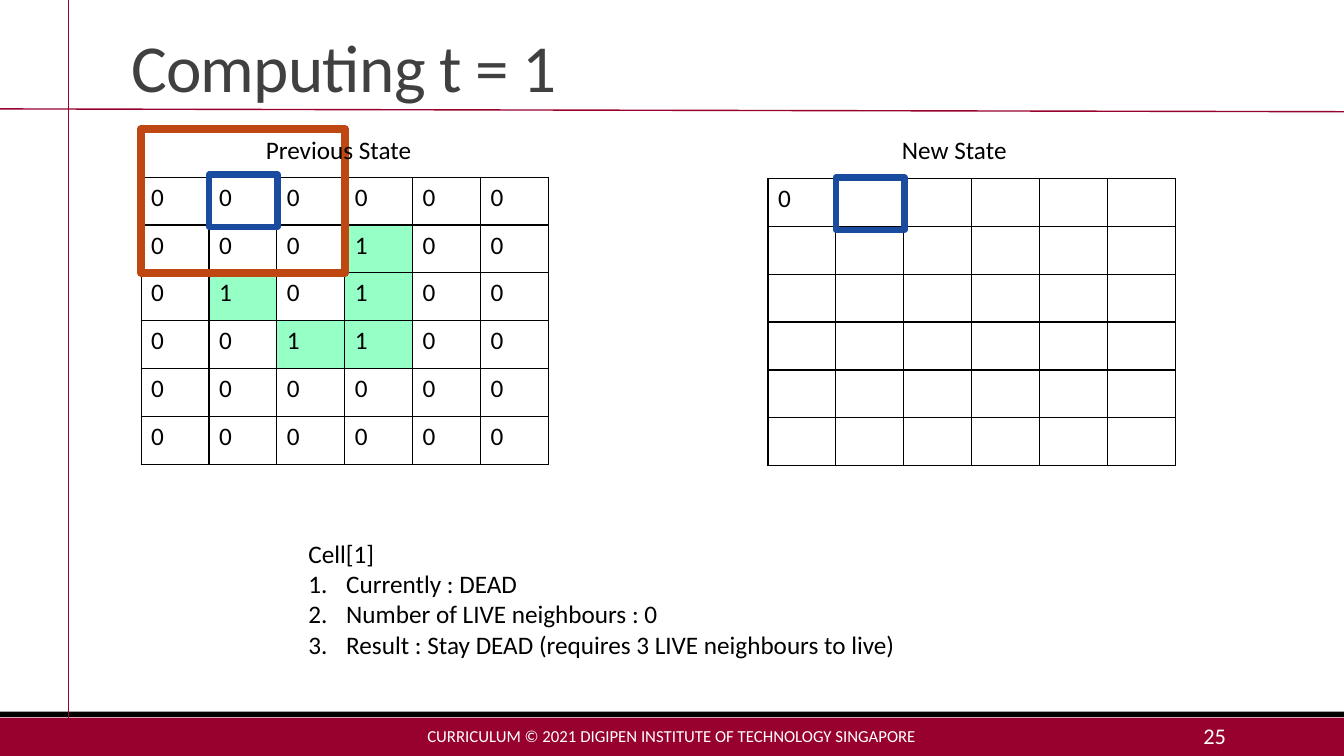
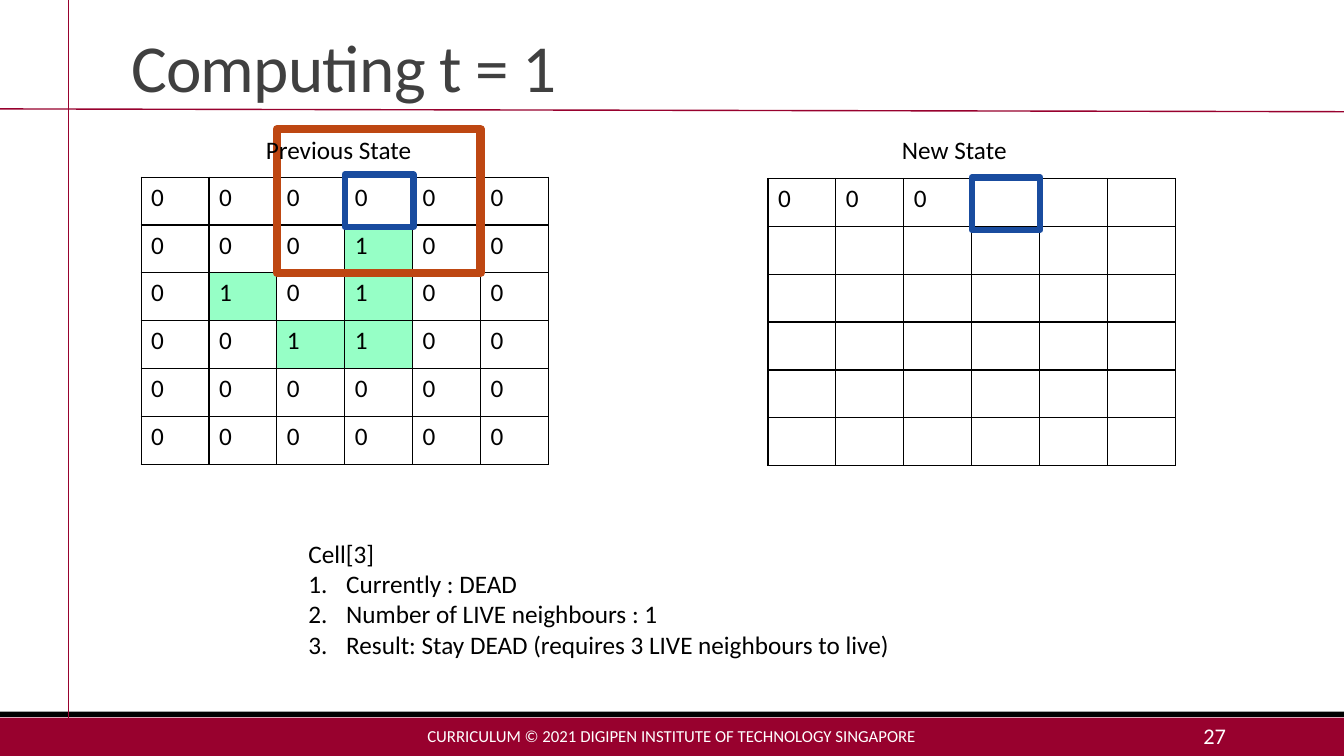
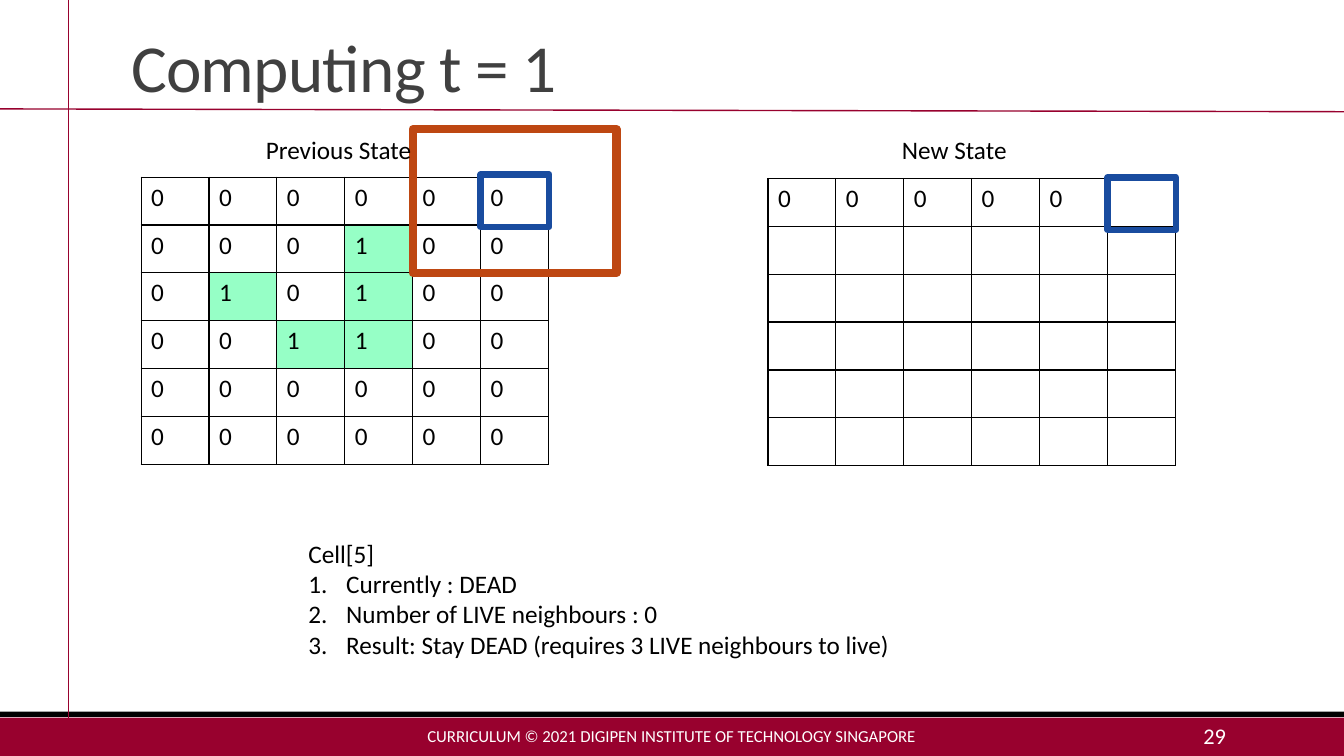
from dataclasses import dataclass

from lxml import etree
from pptx import Presentation
from pptx.dml.color import RGBColor
from pptx.enum import shapes as es
from pptx.enum import text as et
from pptx.oxml import ns
from pptx.util import Pt

FONT = "Calibri"
COLORS = {
    "crimson": "98012E",
    "black": "000000",
    "white": "FFFFFF",
    "title": "404040",
    "live": "96FFC6",
    "neighbours": "BE4712",
    "current": "194C9F",
}
FOOTER = "CURRICULUM © 2021 DIGIPEN INSTITUTE OF TECHNOLOGY SINGAPORE"
PREVIOUS_STATE = ["000000", "000100", "010100", "001100", "000000", "000000"]
SIZE = 6
COL_W, ROW_H = 48.5, 34.2


@dataclass(frozen=True)
class Box:
    left: float
    top: float
    width: float
    height: float

    def lengths(self) -> tuple:
        return Pt(self.left), Pt(self.top), Pt(self.width), Pt(self.height)


@dataclass(frozen=True)
class Grid:
    """Place of a state table, its label and its current-cell frame."""
    label: str
    label_left: float
    left: float
    top: float
    frame_top: float
    cell_fill: str | None


@dataclass(frozen=True)
class Step:
    page: int
    cell: int
    live: int
    result: str


PREVIOUS = Grid("Previous State", 182.9, 100.8, 126.5, 124.6, None)
NEW = Grid("New State", 637.2, 548.6, 127.5, 126.7, "white")
STEPS = [
    Step(25, 1, 0, "Result : Stay DEAD"),
    Step(27, 3, 1, "Result: Stay DEAD"),
    Step(29, 5, 0, "Result: Stay DEAD"),
]


def rgb(name: str) -> RGBColor:
    return RGBColor.from_string(COLORS[name])


def sub(parent, tag: str, **attrs: str):
    return etree.SubElement(parent, ns.qn(tag), **attrs)


def write(tf, text: str, *, size: float = 18, color: str = "black", align=et.PP_ALIGN.LEFT,
          spacing: float = 1, tracking: float = 0, numbered: bool = False) -> None:
    """Fill tf, one paragraph a line; numbered counts the lines after the first."""
    for i, line in enumerate(text.split("\n")):
        p = tf.add_paragraph() if i else tf.paragraphs[0]
        pPr = p._p.get_or_add_pPr()
        indent = Pt(27) if numbered and i else 0
        pPr.set("marL", str(indent))
        pPr.set("indent", str(-indent))
        if indent:
            sub(pPr, "a:buFont", typeface="+mj-lt")
            sub(pPr, "a:buAutoNum", type="arabicPeriod")
        else:
            sub(pPr, "a:buNone")
        p.alignment, p.line_spacing, p.space_before = align, spacing, Pt(0)
        r = p.add_run()
        r.text = line
        r.font.name, r.font.size, r.font.color.rgb = FONT, Pt(size), rgb(color)
        if tracking:
            r._r.get_or_add_rPr().set("spc", str(round(tracking * 100)))


def add_label(s, box: Box, text: str, *, anchor=et.MSO_ANCHOR.TOP, **fmt) -> None:
    tf = s.shapes.add_textbox(*box.lengths()).text_frame
    tf.word_wrap, tf.vertical_anchor = True, anchor
    write(tf, text, **fmt)


def add_rect(s, box: Box, *, fill: str | None = None, line: str | None = None,
             weight: float = 1):
    sp = s.shapes.add_shape(es.MSO_SHAPE.RECTANGLE, *box.lengths())
    sp.shadow.inherit = False
    if fill:
        sp.fill.solid()
        sp.fill.fore_color.rgb = rgb(fill)
    else:
        sp.fill.background()
    if line:
        sp.line.color.rgb, sp.line.width = rgb(line), Pt(weight)
    else:
        sp.line.fill.background()
    return sp


def add_rule(s, x1: float, y1: float, x2: float, y2: float):
    c = s.shapes.add_connector(es.MSO_CONNECTOR.STRAIGHT, Pt(x1), Pt(y1), Pt(x2), Pt(y2))
    c.line.color.rgb, c.line.width = rgb("crimson"), Pt(1)
    sub(c._element.spPr, "a:effectLst")
    return c


def set_up_layout(layout) -> None:
    for ph in list(layout.placeholders)[2:]:
        ph._element.getparent().remove(ph._element)
    boxes = Box(86.4, 11.5, 792, 67.7), Box(213.1, 380.9, 487.4, 94.3)
    anchors = et.MSO_ANCHOR.BOTTOM, et.MSO_ANCHOR.TOP
    for ph, box, anchor in zip(layout.placeholders, boxes, anchors):
        ph.left, ph.top, ph.width, ph.height = box.lengths()
        ph.text_frame.vertical_anchor = anchor
        ph.text_frame.auto_size = et.MSO_AUTO_SIZE.NONE


def move_backdrop_to_layout(s) -> None:
    """Draw the bands and rules on s, then hand them to its layout."""
    backdrop = [
        add_rect(s, Box(0, 512.6, 960, 27.4), fill="crimson"),
        add_rect(s, Box(0, 508.4, 960, 3.8), fill="black"),
        add_rule(s, 49, 0, 49, 512.6),
        add_rule(s, 0, 77.8, 960, 79.8),
    ]
    for sp in reversed(backdrop):
        s.slide_layout.shapes._spTree.insert(2, sp._element)


def format_cell(cell, value: str, fill: str | None) -> None:
    tcPr = cell._tc.get_or_add_tcPr()
    for side in ("a:lnL", "a:lnR", "a:lnT", "a:lnB"):
        ln = sub(tcPr, side, w=str(Pt(1)))
        sub(sub(ln, "a:solidFill"), "a:srgbClr", val=COLORS["black"])
    if fill:
        cell.fill.solid()
        cell.fill.fore_color.rgb = rgb(fill)
    else:
        cell.fill.background()
    if value.strip():
        write(cell.text_frame, value)


def add_grid(s, grid: Grid, rows: list[str]) -> None:
    box = Box(grid.left, grid.top, SIZE * COL_W, SIZE * ROW_H)
    table = s.shapes.add_table(SIZE, SIZE, *box.lengths()).table
    table.first_row = table.horz_banding = False
    for col in table.columns:
        col.width = Pt(COL_W)
    for row, values in zip(table.rows, rows):
        row.height = Pt(ROW_H)
        for cell, value in zip(row.cells, values):
            format_cell(cell, value, "live" if value == "1" else grid.cell_fill)


def build_slide(s, step: Step) -> None:
    title, body = s.placeholders
    write(title.text_frame, "Computing t = 1", size=48, color="title", spacing=0.85,
          tracking=-0.5)
    write(body.text_frame, f"Cell[{step.cell}]\nCurrently : DEAD\n"
          f"Number of LIVE neighbours : {step.live}\n"
          f"{step.result} (requires 3 LIVE neighbours to live)", numbered=True)

    add_label(s, Box(290.2, 511.2, 379.4, 28.8), FOOTER, size=12, color="white",
              align=et.PP_ALIGN.CENTER, anchor=et.MSO_ANCHOR.MIDDLE)
    add_label(s, Box(779.8, 511.2, 103, 28.8), str(step.page), size=16, color="white",
              align=et.PP_ALIGN.RIGHT, anchor=et.MSO_ANCHOR.MIDDLE)

    known = ("0" * step.cell).ljust(SIZE)
    add_grid(s, PREVIOUS, PREVIOUS_STATE)
    add_grid(s, NEW, [known] + [" " * SIZE] * (SIZE - 1))
    add_rect(s, Box(PREVIOUS.left + (step.cell - 1) * COL_W, PREVIOUS.top - ROW_H,
                    3 * COL_W, 3 * ROW_H), line="neighbours", weight=6)
    for grid in (PREVIOUS, NEW):
        add_label(s, Box(grid.label_left, 92.2, 126.7, 28.8), grid.label)
        add_rect(s, Box(grid.left + step.cell * COL_W, grid.frame_top, 49, 37.4),
                 line="current", weight=4.5)


def main() -> None:
    prs = Presentation()
    prs.slide_width, prs.slide_height = Pt(960), Pt(540)
    layout = prs.slide_layouts[1]
    set_up_layout(layout)
    for i, step in enumerate(STEPS):
        s = prs.slides.add_slide(layout)
        if i == 0:
            move_backdrop_to_layout(s)
        build_slide(s, step)
    prs.save("out.pptx")


if __name__ == "__main__":
    main()
